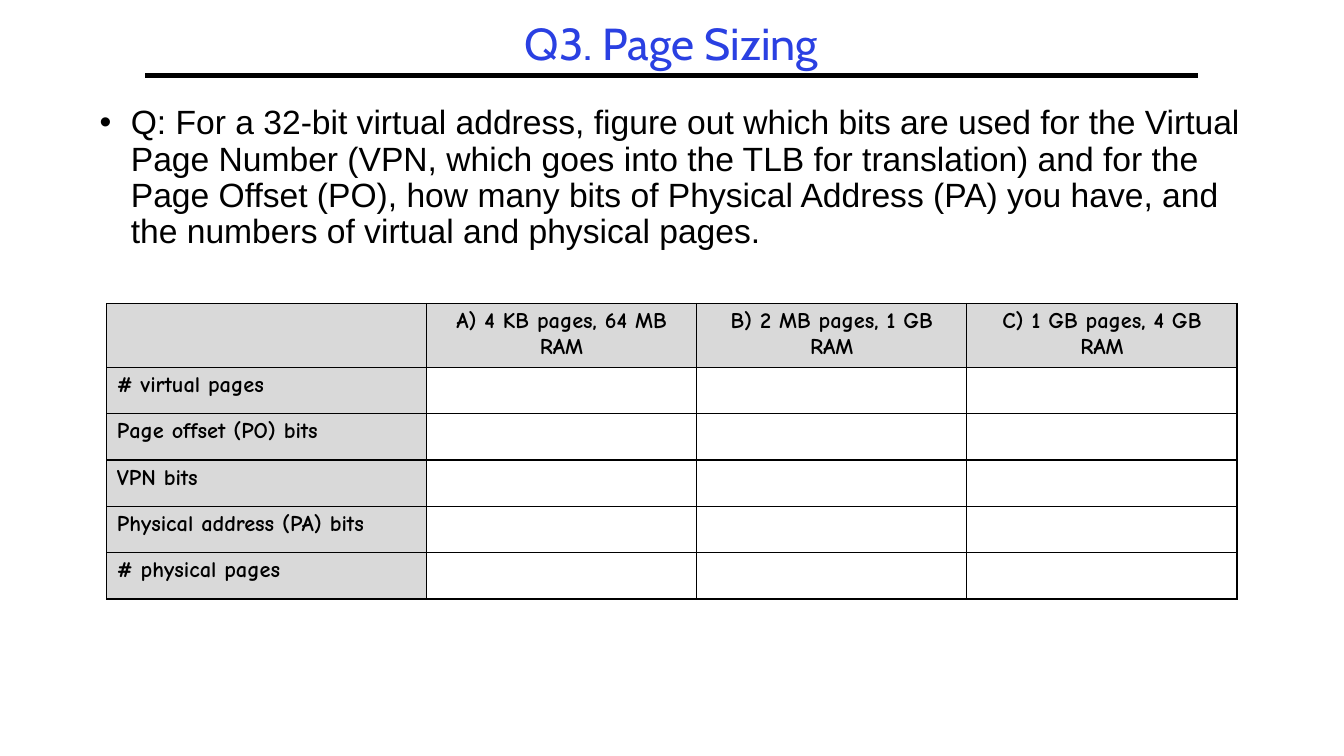
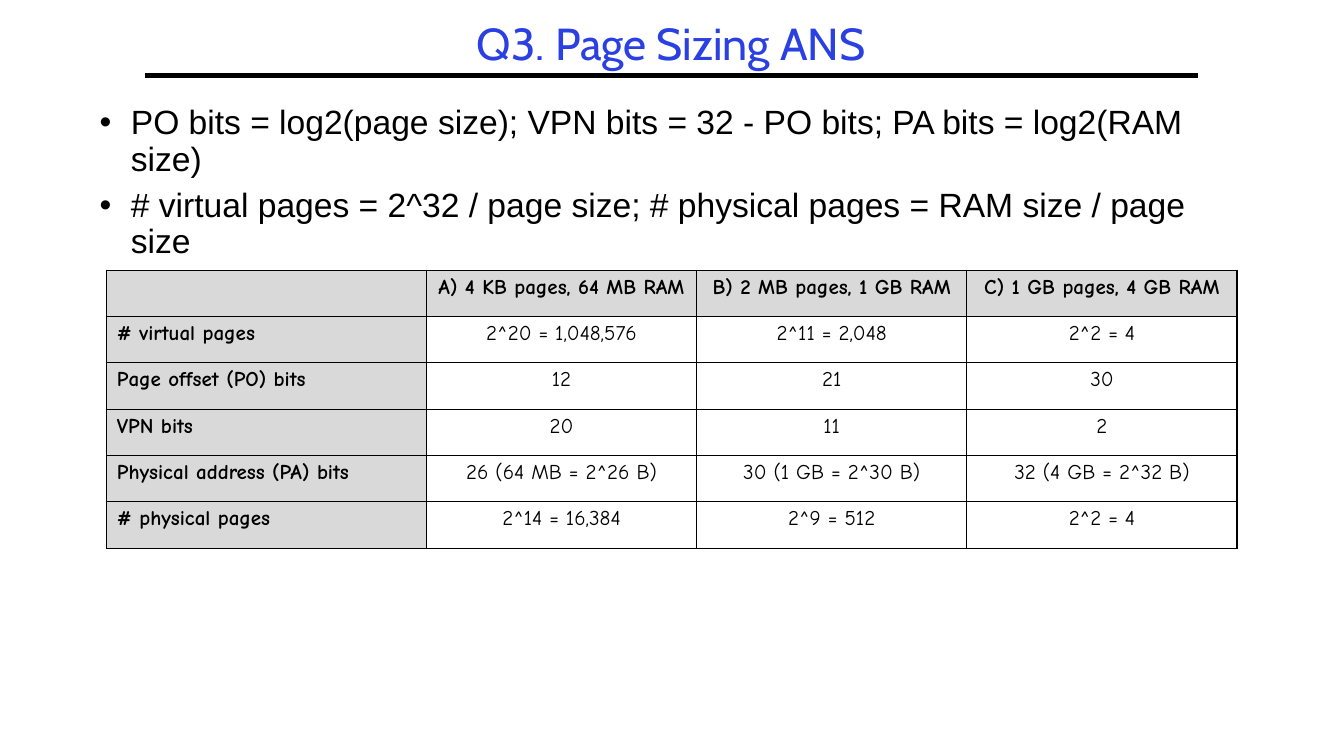
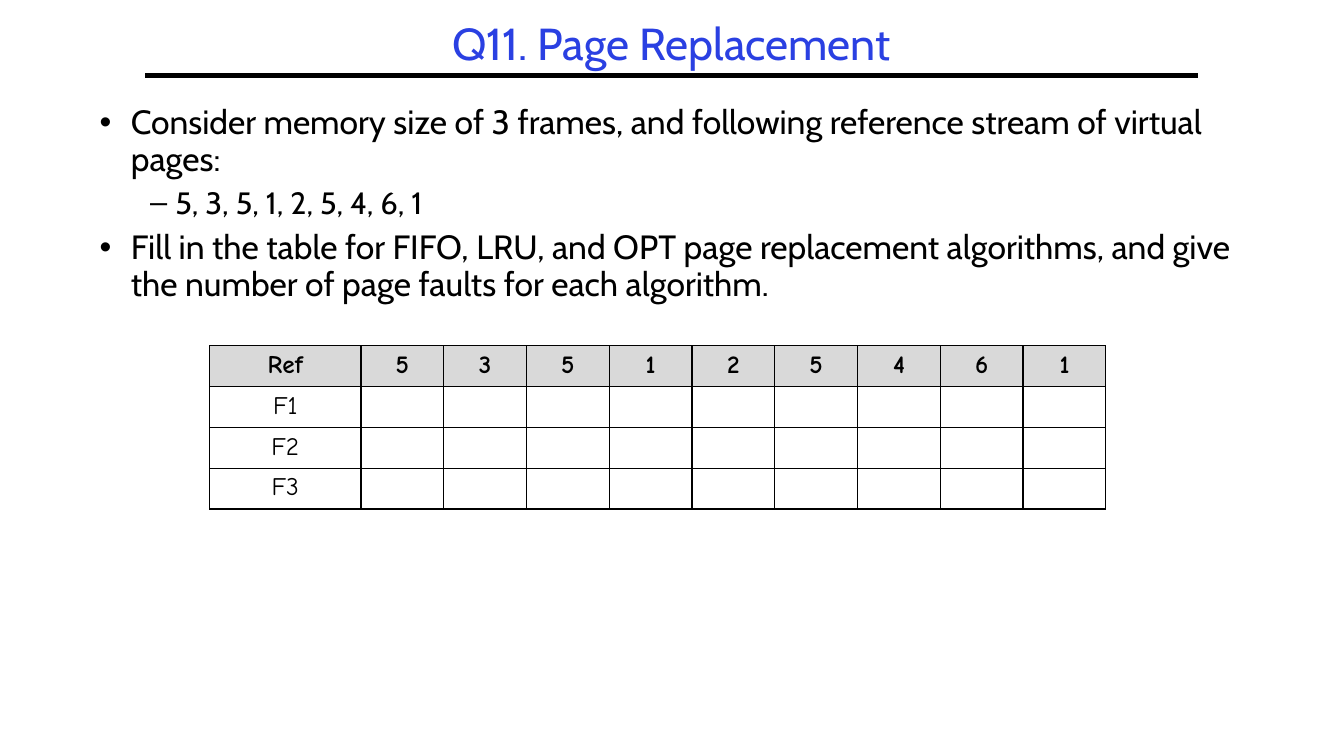
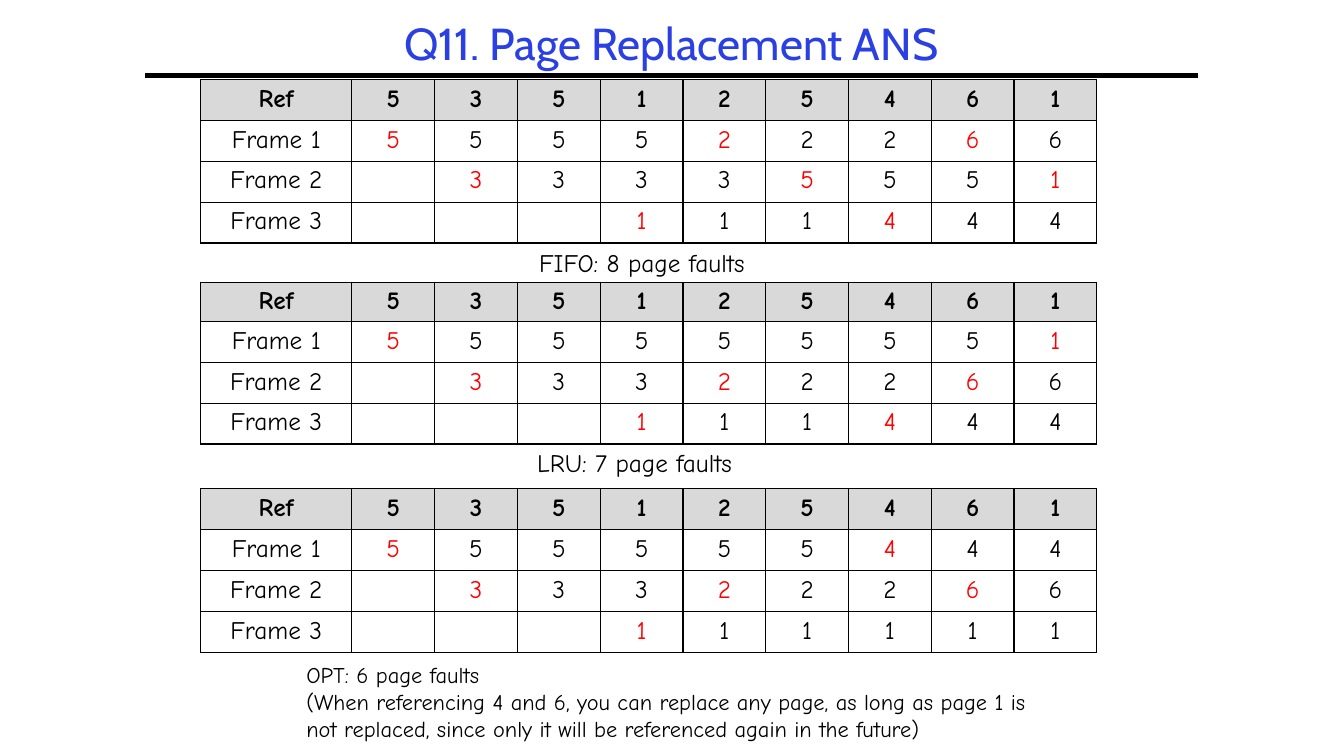
from dataclasses import dataclass
from lxml.etree import SubElement
from pptx import Presentation
from pptx.dml.color import RGBColor
from pptx.enum.text import MSO_ANCHOR, PP_ALIGN
from pptx.oxml import parse_xml
from pptx.oxml.ns import nsdecls, qn
from pptx.util import Inches, Pt


@dataclass(frozen=True)
class Theme:
    ink: str = "000000"
    blue: str = "2A40E2"
    red: str = "FF0000"
    gray: str = "D9D9D9"
    head: str = "Cabin"
    sans: str = "Arial"
    hand: str = "Comic Neue"
    title: int = 32
    body: int = 24
    sub: int = 22
    cell: int = 18
    note: int = 16
    tight: int = 15
    lead: float = 0.9
    gap: float = 0.3  # space before a bullet, as a share of its size


T = Theme()
WIDE, HIGH = 13.33, 7.5
LEFT, SPAN = 1.44, 10.44  # title and rule
BODY = (0.89, 1, 11.56, 2.43)

# Content: sizing questions
SIZES = ["", "A) 4 KB pages, 64 MB RAM", "B) 2 MB pages, 1 GB RAM",
         "C) 1 GB pages, 4 GB RAM"]
FACTS = [
    ["# virtual pages", "2^20 = 1,048,576", "2^11 = 2,048", "2^2 = 4"],
    ["Page offset (PO) bits", "12", "21", "30"],
    ["VPN bits", "20", "11", "2"],
    ["Physical address (PA) bits", "26 (64 MB = 2^26 B)",
     "30 (1 GB = 2^30 B)", "32 (4 GB = 2^32 B)"],
    ["# physical pages", "2^14 = 16,384", "2^9 = 512", "2^2 = 4"],
]
ASK = [(0, "Q: For a 32-bit virtual address, figure out which bits are used "
        "for the Virtual Page Number (VPN, which goes into the TLB for "
        "translation) and for the Page Offset (PO), how many bits of Physical "
        "Address (PA) you have, and the numbers of virtual and physical pages.")]
RULES = [
    (0, "PO bits = log2(page size); VPN bits = 32 - PO bits; "
        "PA bits = log2(RAM size)"),
    (0, "# virtual pages = 2^32 / page size; "
        "# physical pages = RAM size / page size"),
]

# Content: replacement questions; "." is an empty frame
REFS = "535125461"
TASK = [
    (0, "Consider memory size of 3 frames, and following reference stream "
        "of virtual pages:"),
    (1, ", ".join(REFS)),
    (0, "Fill in the table for FIFO, LRU, and OPT page replacement "
        "algorithms, and give the number of page faults for each algorithm."),
]
RUNS = [  # top, head row height, frames over time
    (0.79, 0.405, ["555522266", ".33335551", "...111444"]),
    (2.8, 0.39, ["555555551", ".33322266", "...111444"]),
    (4.85, 0.405, ["555555444", ".33322266", "...111111"]),
]
NOTES = [  # place, wrap, size, lines
    ((5.25, 2.4, 2.54, 0.4), False, T.cell, ["FIFO: 8 page faults"]),
    ((5.23, 4.39, 2.42, 0.4), True, T.cell, ["LRU: 7 page faults"]),
    ((2.94, 6.51, 7.65, 0.91), True, T.note, [
        "OPT: 6 page faults",
        "(When referencing 4 and 6, you can replace any page, as long as page "
        "1 is not replaced, since only it will be referenced again in the "
        "future)"]),
]


def style(para, face, size, color=T.ink, bold=False):
    font = para.font
    font.name, font.size, font.bold = face, Pt(size), bold
    font.color.rgb = RGBColor.from_string(color)


def place(shape, box):
    shape.left, shape.top, shape.width, shape.height = map(Inches, box)


def add_rule(deck, layout):
    """Draw the title rule once and keep it on the layout."""
    slide = deck.slides[0]
    y = Inches(0.75)
    line = slide.shapes.add_connector(1, Inches(LEFT), y,
                                      Inches(LEFT + SPAN), y)
    line.line.color.rgb = RGBColor.from_string(T.ink)
    line.line.width = Pt(3)
    SubElement(line._element.spPr, qn("a:effectLst"))
    layout.shapes._spTree.append(line._element)


def add_page(deck, layout, text):
    slide = deck.slides.add_slide(layout)
    title = slide.shapes.title
    place(title, (LEFT, 0.17, SPAN, 0.58))
    frame = title.text_frame
    frame.text = text
    frame.word_wrap = True
    frame.vertical_anchor = MSO_ANCHOR.MIDDLE
    para = frame.paragraphs[0]
    para.alignment = PP_ALIGN.CENTER
    para.line_spacing = T.lead
    style(para, T.head, T.title, T.blue)
    return slide


def add_text(slide, box, lines, wrap=True):
    """Add a text box and return its paragraphs."""
    frame = slide.shapes.add_textbox(*map(Inches, box)).text_frame
    frame.word_wrap = wrap
    frame.text = "\n".join(lines)
    return frame.paragraphs


def add_list(slide, items, face):
    looks = [("•", 0.31, 0.31, T.body), ("–", 0.75, 0.25, T.sub)]
    paras = add_text(slide, BODY, [text for _, text in items])
    for i, (para, (level, _)) in enumerate(zip(paras, items)):
        mark, edge, hang, size = looks[level]
        para.level = level
        para.line_spacing = T.lead
        para.space_before = Pt(size * T.gap if i else 0)
        props = para._p.get_or_add_pPr()
        props.set("marL", str(Inches(edge)))
        props.set("indent", str(-Inches(hang)))
        SubElement(props, qn("a:buFont"), typeface="Arial")
        SubElement(props, qn("a:buChar"), char=mark)
        style(para, face, size)


def edge_cell(cell):
    props = cell._tc.get_or_add_tcPr()
    for i, side in enumerate("LRTB"):
        props.insert(i, parse_xml(
            f'<a:ln{side} {nsdecls("a")} w="12700"><a:solidFill>'
            f'<a:srgbClr val="{T.ink}"/></a:solidFill></a:ln{side}>'))


def add_grid(slide, spot, first, width, heights, rows, size,
             side=False, trace=False):
    """Table with a gray head; side shades labels, trace reddens new pages."""
    count = len(rows[0])
    frame = slide.shapes.add_table(len(rows), count, *map(
        Inches, (*spot, width, sum(heights))))
    table = frame.table
    table.first_row = table.horz_banding = False
    for c, col in enumerate(table.columns):
        col.width = Inches(first if c == 0 else (width - first) / (count - 1))
    for r, row in enumerate(rows):
        table.rows[r].height = Inches(heights[r])
        for c, text in enumerate(row):
            cell = table.cell(r, c)
            shade = r == 0 or (side and c == 0)
            if shade:
                cell.fill.solid()
                cell.fill.fore_color.rgb = RGBColor.from_string(T.gray)
            else:
                cell.fill.background()
            edge_cell(cell)
            if not text:
                continue
            cell.text = text
            para = cell.text_frame.paragraphs[0]
            label = side and c == 0
            para.alignment = PP_ALIGN.LEFT if label else PP_ALIGN.CENTER
            fresh = trace and r and c and text != row[c - 1]
            style(para, T.hand, size, T.red if fresh else T.ink, shade)


def add_sizes(slide, top, head, rows, size):
    add_grid(slide, (1.06, top), 3.17, 11.21, [head] + [0.46] * len(rows),
             [SIZES] + rows, size, side=True)


def add_frames(slide, spot, head, name, runs):
    rows = [["Ref", *REFS]]
    for i, run in enumerate(runs, 1):
        rows.append([f"{name}{i}", *("" if p == "." else p for p in run)])
    add_grid(slide, spot, 1.5, 8.89, [head] + [0.405] * len(runs), rows,
             T.cell, trace=True)


def main():
    deck = Presentation()
    deck.slide_width, deck.slide_height = Inches(WIDE), Inches(HIGH)
    layout = deck.slide_layouts[5]

    # Page sizing: question, then answer
    page = add_page(deck, layout, "Q3. Page Sizing")
    add_rule(deck, layout)
    add_list(page, ASK, T.sans)
    blank = [[row[0], "", "", ""] for row in FACTS]
    add_sizes(page, 3.01, 0.6, blank, T.note)

    page = add_page(deck, layout, "Q3. Page Sizing ANS")
    add_list(page, RULES, T.sans)
    add_sizes(page, 2.68, 0.46, FACTS, T.tight)

    # Page replacement: question, then answer
    page = add_page(deck, layout, "Q11. Page Replacement")
    add_list(page, TASK, T.head)
    add_frames(page, (2.08, 3.43), 0.405, "F", ["." * len(REFS)] * 3)

    page = add_page(deck, layout, "Q11. Page Replacement ANS")
    for top, head, runs in RUNS:
        add_frames(page, (1.99, top), head, "Frame ", runs)
    for box, wrap, size, lines in NOTES:
        for para in add_text(page, box, lines, wrap):
            style(para, T.hand, size)

    deck.save("out.pptx")


if __name__ == "__main__":
    main()
